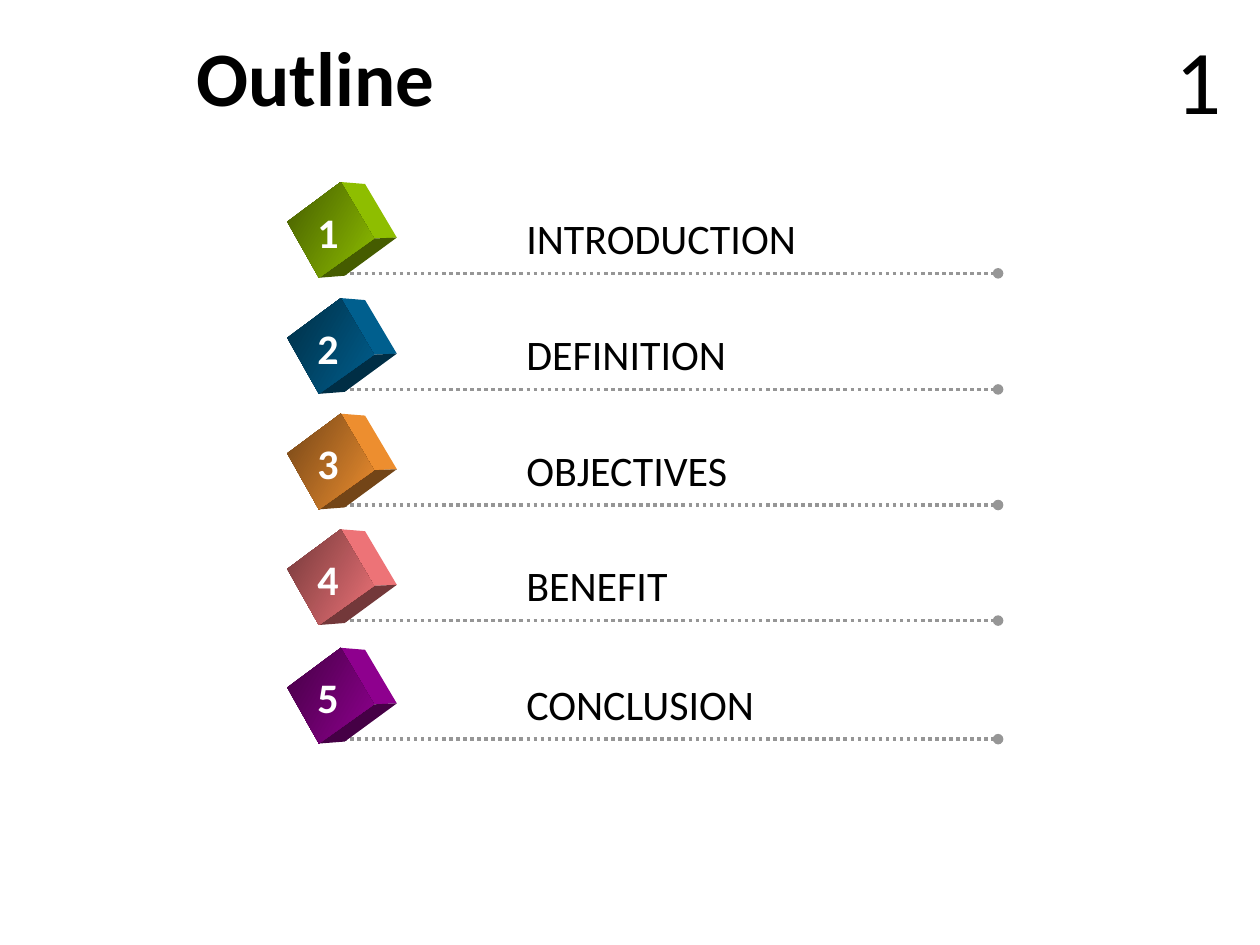
from lxml import etree
from pptx import Presentation
from pptx.dml.color import RGBColor
from pptx.enum.dml import MSO_LINE_DASH_STYLE as Dash
from pptx.enum.shapes import MSO_CONNECTOR as Conn
from pptx.enum.text import MSO_ANCHOR as Anchor, PP_ALIGN as Align
from pptx.oxml.ns import qn
from pptx.util import Cm, Pt


def rgb(value):
    return RGBColor.from_string(value)


def shade(value, factor):
    """Darken a hex colour by a factor."""
    parts = [int(value[i:i + 2], 16) for i in (0, 2, 4)]
    return "".join(f"{round(c * factor):02X}" for c in parts)


class Deck:
    font = "Calibri"
    black, white, grey = "000000", "FFFFFF", "969696"
    lit, dark = 0.93, 0.45

    # Cube faces: x on the slide, y measured from the row's line
    front = [(5.79, -1.04), (6.87, -1.84), (7.54, -0.7), (6.43, 0.09)]
    side = [(6.87, -1.84), (7.36, -1.8), (8, -0.72), (7.54, -0.7)]
    base = [(6.43, 0.09), (7.54, -0.7), (8, -0.72), (6.95, 0.05)]

    def __init__(self, prs):
        self.s = prs.slides.add_slide(prs.slide_layouts[6])

    def text(self, text, x, y, w, h, size, color=black, bold=False,
             align=Align.LEFT, anchor=Anchor.TOP, wrap=False):
        tf = self.s.shapes.add_textbox(Cm(x), Cm(y), Cm(w), Cm(h)).text_frame
        tf.word_wrap = wrap
        tf.vertical_anchor = anchor
        p = tf.paragraphs[0]
        p.text = text
        p.alignment = align
        font = p.runs[0].font
        font.name, font.size, font.bold = self.font, Pt(size), bold
        font.color.rgb = rgb(color)
        return p

    def dotted_line(self, x1, x2, y):
        line = self.s.shapes.add_connector(
            Conn.STRAIGHT, Cm(x1), Cm(y), Cm(x2), Cm(y))
        line.line.color.rgb = rgb(self.grey)
        line.line.width = Pt(2)
        line.line.dash_style = Dash.ROUND_DOT
        etree.SubElement(line.line._get_or_add_ln(), qn("a:tailEnd"), type="oval")
        etree.SubElement(line._element.spPr, qn("a:effectLst"))

    def face(self, points, y, *colors):
        pts = [(Cm(px), Cm(y + py)) for px, py in points]
        builder = self.s.shapes.build_freeform(*pts[0])
        builder.add_line_segments(pts[1:])
        sp = builder.convert_to_shape()
        sp.shadow.inherit = False
        sp.line.fill.background()
        if len(colors) == 1:
            sp.fill.solid()
            sp.fill.fore_color.rgb = rgb(colors[0])
        else:
            sp.fill.gradient()
            sp.fill.gradient_angle = 330
            for stop, color in zip(sp.fill.gradient_stops, colors):
                stop.color.rgb = rgb(color)

    def cube(self, y, color):
        lit, dark = shade(color, self.lit), shade(color, self.dark)
        self.face(self.side, y, lit)
        self.face(self.base, y, dark)
        self.face(self.front, y, dark, lit)

    def row(self, number, label, y, width, color):
        self.dotted_line(6.78, 20.12, y)
        self.cube(y, color)
        self.text(label, 10.36, y - 1.35, width, 1.3, 24)
        self.text(str(number), 6.15, y - 1.48, 0.99, 1.27, 24, self.white, True)


def main():
    prs = Presentation()
    prs.slide_width, prs.slide_height = Cm(25.4), Cm(19.05)
    deck = Deck(prs)

    # Title
    title = deck.text("Outline", 3.71, 0.58, 18.03, 2.11, 44, bold=True,
                      anchor=Anchor.MIDDLE, wrap=True)
    title.line_spacing = 0.9

    # Outline rows: label, line height, label width, cube colour
    rows = [
        ("INTRODUCTION", 5.51, 5.99, "99CC00"),
        ("DEFINITION", 7.85, 4.57, "006699"),
        ("OBJECTIVES", 10.18, 4.6, "FF9933"),
        ("BENEFIT", 12.51, 3.4, "FF7C80"),
        ("CONCLUSION", 14.9, 5.16, "990099"),
    ]
    for number, item in enumerate(rows, 1):
        deck.row(number, *item)

    # Page number
    deck.text("1", 23.42, 0.36, 1.5, 2.57, 52, align=Align.CENTER)

    prs.save("out.pptx")


if __name__ == "__main__":
    main()
